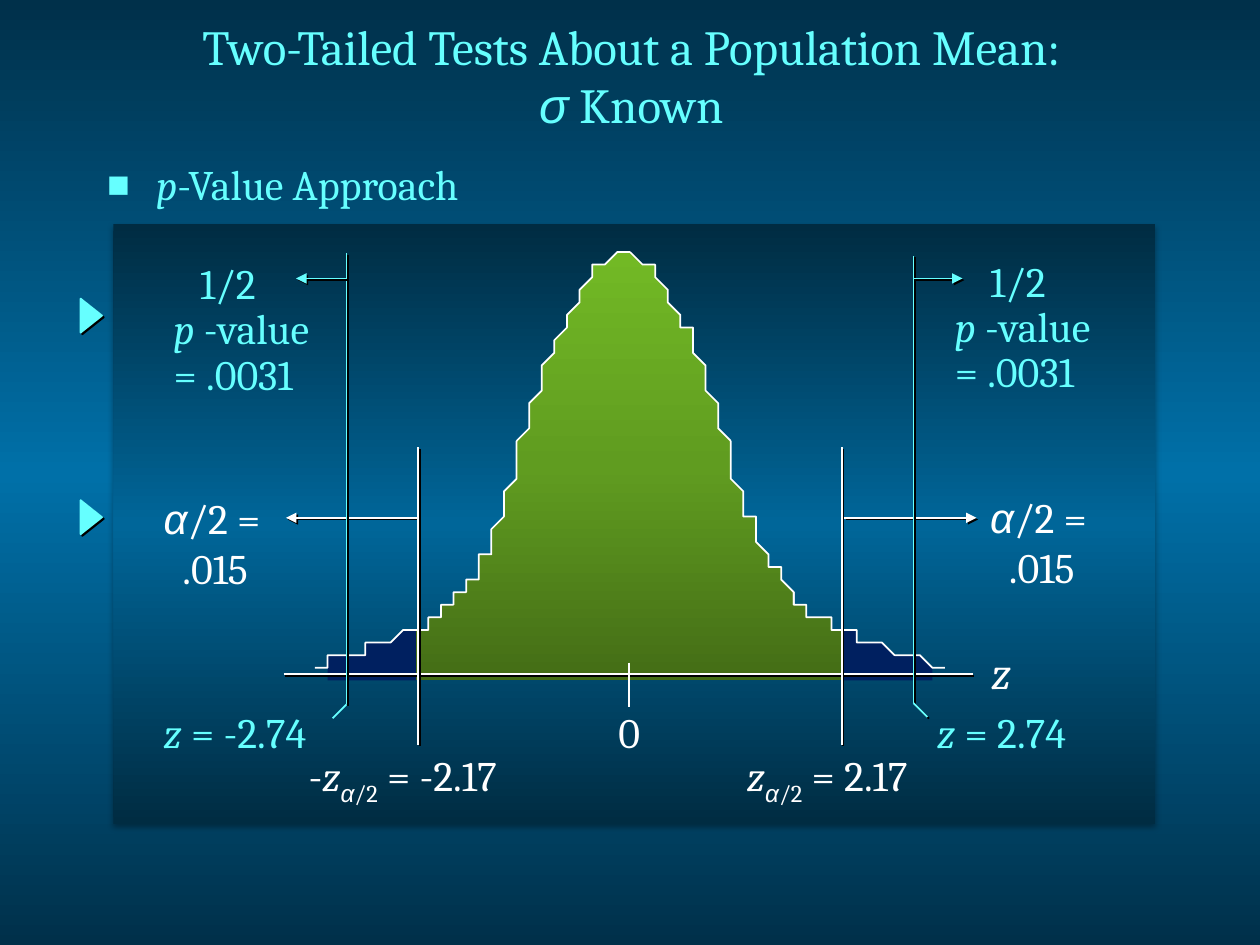
"""Build a slide on the p-value approach to a two-tailed test of a mean."""
from copy import deepcopy
from pptx import Presentation, util as u
from pptx.dml.color import RGBColor
from pptx.enum import shapes, text
from pptx.oxml import parse_xml
from pptx.oxml.ns import nsdecls, qn

THEME = {
    "aqua": "66FFFF", "white": "FFFFFF", "navy": "002060",
    "back": ("00304A", "0070A8", "00304A"),
    "panel": ("002C42", "006699", "002C42"),
    "bell": ("72B925", "609C20", "446D16"),
    "font": "Cambria", "greek": "Arial",
    "title": 28, "body": 24, "axis": 26, "line": 1,
}
rgb = RGBColor.from_string

prs = Presentation()
prs.slide_width, prs.slide_height = u.Inches(10), u.Inches(7.5)
col, row = prs.slide_width / 100, prs.slide_height / 75
s = prs.slides.add_slide(prs.slide_layouts[1])


def shadow(parent, alpha=100, blur=0, dist=1.4, angle=45):
    """Append an outer black shadow to shape or run properties."""
    parent.append(parse_xml(
        f'<a:effectLst {nsdecls("a")}><a:outerShdw blurRad="{u.Pt(blur)}" dist="{u.Pt(dist)}" '
        f'dir="{angle * 60000}" algn="ctr" rotWithShape="0"><a:srgbClr val="000000">'
        f'<a:alpha val="{alpha * 1000}"/></a:srgbClr></a:outerShdw></a:effectLst>'))


def write(sp, box, lines, color, size, shaded=True, spacing=1.0):
    """Place a text shape and fill it with paragraphs of (text, style) runs."""
    sp.left, sp.top = int(box[0] * col), int(box[1] * row)
    sp.width, sp.height = int(box[2] * col), int(box[3] * row)
    tf = sp.text_frame
    tf.auto_size = text.MSO_AUTO_SIZE.NONE
    tf.word_wrap = False
    for i, runs in enumerate(lines):
        p = tf.paragraphs[0] if i == 0 else tf.add_paragraph()
        p.line_spacing, p.space_before = spacing, u.Pt(0)
        for words, style in runs:
            r = p.add_run()
            r.text = words
            r.font.size = u.Pt(THEME[size])
            r.font.color.rgb = rgb(THEME[color])
            r.font.italic = "i" in style
            if "s" in style:
                r._r.get_or_add_rPr().set("baseline", "-25000")
            if shaded:
                shadow(r._r.get_or_add_rPr())
            r.font.name = THEME["greek" if "g" in style else "font"]
    return tf


title, body = s.placeholders
tf = write(title, (7.6, 1.5, 85, 8.9),
           [[("Two-Tailed Tests About a Population Mean:", "")], [("σ", "ig"), (" Known", "")]],
           "aqua", "title", shaded=False)
tf.vertical_anchor = text.MSO_ANCHOR.MIDDLE
for p in tf.paragraphs:
    p.alignment = text.PP_ALIGN.CENTER

tf = write(body, (7.5, 12.1, 33, 5), [[("p", "i"), ("-Value Approach", "")]],
           "aqua", "body", shaded=False)
pPr = tf.paragraphs[0]._p.get_or_add_pPr()
pPr.set("marL", str(int(3.9 * col)))
pPr.set("indent", str(int(-3.9 * col)))
for tag, attr, value in (("buSzPct", "val", "90000"), ("buFont", "typeface", "Arial"),
                         ("buChar", "char", "■")):
    pPr.append(parse_xml(f'<a:{tag} {nsdecls("a")} {attr}="{value}"/>'))

panel = s.shapes.add_shape(shapes.MSO_SHAPE.RECTANGLE, int(9 * col), int(17.8 * row),
                           int(82.7 * col), int(47.6 * row))
panel.line.fill.background()

base, low, high = 53.5, 33.2, 66.9
beziers = [
    ((25.1, 52.8), (30.2, 51.4), (34.5, 49.5), (35.6, 48.1)),
    ((35.6, 48.1), (37.9, 46), (40.1, 41.1), (41.4, 35.4)),
    ((41.4, 35.3), (43.9, 26.4), (47.5, 19.7), (49.5, 20.2)),
    ((49.5, 20.2), (51.6, 19.7), (55.2, 26.4), (57.6, 35.3)),
    ((57.5, 35.3), (59, 40.6), (61.2, 45.3), (63.4, 47.5)),
    ((63.2, 47.3), (64.4, 49.2), (69, 51.3), (74.9, 52.7)),
]
steps = 24
arcs = []
for a, b, c, d in beziers:
    ts = [i / steps for i in range(steps + 1)]
    arcs.append([tuple((1 - t) ** 3 * a[k] + 3 * t * (1 - t) ** 2 * b[k]
                       + 3 * t * t * (1 - t) * c[k] + t ** 3 * d[k] for k in (0, 1)) for t in ts])
curve = [pt for arc in arcs for pt in arc if 25.2 <= pt[0] <= 74.6]
left = [pt for pt in curve if pt[0] <= low]
right = [pt for pt in curve if pt[0] >= high]
areas = [area + [(area[-1][0], base), (area[0][0], base)] for area in (curve, left, right)]

drawn = []
for pts, closed in [(a, True) for a in areas] + [(a, False) for a in arcs]:
    fb = s.shapes.build_freeform(*pts[0], scale=(col, row))
    fb.add_line_segments(pts[1:], close=closed)
    sp = fb.convert_to_shape()
    sp.shadow.inherit = False
    if closed:
        sp.fill.solid()
        sp.fill.fore_color.rgb = rgb(THEME["navy"])
        sp.line.fill.background()
    else:
        sp.fill.background()
        sp.line.color.rgb = rgb(THEME["white"])
        sp.line.width = u.Pt(THEME["line"])
    drawn.append(sp)

for owner, fill, colors in ((s, s.background.fill, "back"), (panel, panel.fill, "panel"),
                            (drawn[0], drawn[0].fill, "bell")):
    fill.gradient()
    fill.gradient_angle = 270
    stops = owner.element.find(".//" + qn("a:gsLst"))
    stops.append(deepcopy(stops[0]))
    for i, stop in enumerate(fill.gradient_stops):
        stop.color.rgb = rgb(THEME[colors][i])
        stop.position = i / 2
shadow(panel.element.spPr, 32, 3.5, 2.2, 90)

for x1, y1, x2, y2, color, arrow, shaded in (
        (67, 41.1, 77.5, 41.1, "white", True, True),
        (33.2, 41.1, 22.7, 41.1, "white", True, True),
        (22.5, base, 77.2, base, "white", False, True),
        (49.9, 52.6, 49.9, 56.1, "white", False, False),
        (33.2, 35.5, 33.2, 59.1, "white", False, True),
        (66.8, 35.5, 66.8, 59.1, "white", False, True),
        (27.5, 20.1, 27.5, 55.9, "aqua", False, True),
        (27.5, 55.9, 26.4, 57, "aqua", False, False),
        (72.5, 20.3, 72.5, 55.8, "aqua", False, True),
        (72.5, 55.8, 73.6, 56.9, "aqua", False, True),
        (72.5, 22.1, 76.4, 22.1, "aqua", True, True),
        (27.5, 22.1, 23.5, 22.1, "aqua", True, True)):
    cx = s.shapes.add_connector(shapes.MSO_CONNECTOR.STRAIGHT, int(x1 * col), int(y1 * row),
                                int(x2 * col), int(y2 * row))
    cx.line.color.rgb = rgb(THEME[color])
    cx.line.width = u.Pt(THEME["line"])
    if arrow:
        cx.line._get_or_add_ln().append(parse_xml(f'<a:tailEnd {nsdecls("a")} type="triangle"/>'))
    if shaded:
        shadow(cx.element.spPr)
    else:
        cx.element.spPr.append(parse_xml(f'<a:effectLst {nsdecls("a")}/>'))

alpha = [[("α", "ig"), ("/2 =", "")], [(".015", "")]]
half = [[("1/2", "")], [("p ", "i"), ("-value", "")], [("= .0031", "")]]
z_alpha = [("z", "i"), ("α", "igs"), ("/2", "s")]
for box, lines, color, size, spacing, inset_line, inset in (
        ((12, 38.6, 10.6, 9), alpha, "white", "body", 1, 1, 1.5),
        ((77.6, 38.5, 10.6, 9), alpha, "white", "body", 1, 1, 1.5),
        ((12.8, 20.4, 13.7, 11.8), half, "aqua", "body", 0.9, 0, 2.1),
        ((74.8, 20.2, 13.7, 11.8), half, "aqua", "body", 0.9, 0, 2.8),
        ((48.1, 55.6, 3.6, 5), [[("0", "")]], "white", "body", 1, 0, 0),
        ((77.7, 50.6, 3.6, 5.3), [[("z", "i")]], "white", "axis", 1, 0, 0),
        ((58.3, 59, 16.8, 5), [z_alpha + [(" = 2.17", "")]], "white", "body", 1, 0, 0),
        ((23.5, 59, 19.1, 5), [[("-", "")] + z_alpha + [(" = -2.17", "")]],
         "white", "body", 1, 0, 0),
        ((73.4, 55.6, 13, 5), [[("z", "i"), (" = 2.74", "")]], "aqua", "body", 1, 0, 0),
        ((12, 55.6, 14.1, 5), [[("z", "i"), (" = -2.74", "")]], "aqua", "body", 1, 0, 0)):
    tf = write(s.shapes.add_textbox(0, 0, 0, 0), box, lines, color, size, spacing=spacing)
    if inset:
        tf.paragraphs[inset_line]._p.get_or_add_pPr().set("marL", str(int(inset * col)))

for y in (24.2, 40.2):
    sp = s.shapes.add_shape(shapes.MSO_SHAPE.ISOSCELES_TRIANGLE, int(5.9 * col), int(y * row),
                            int(2.7 * col), int(1.7 * row))
    sp.rotation = 90
    sp.fill.solid()
    sp.fill.fore_color.rgb = sp.line.color.rgb = rgb(THEME["aqua"])
    sp.line.width = u.Pt(THEME["line"])
    shadow(sp.element.spPr)

prs.save("out.pptx")
